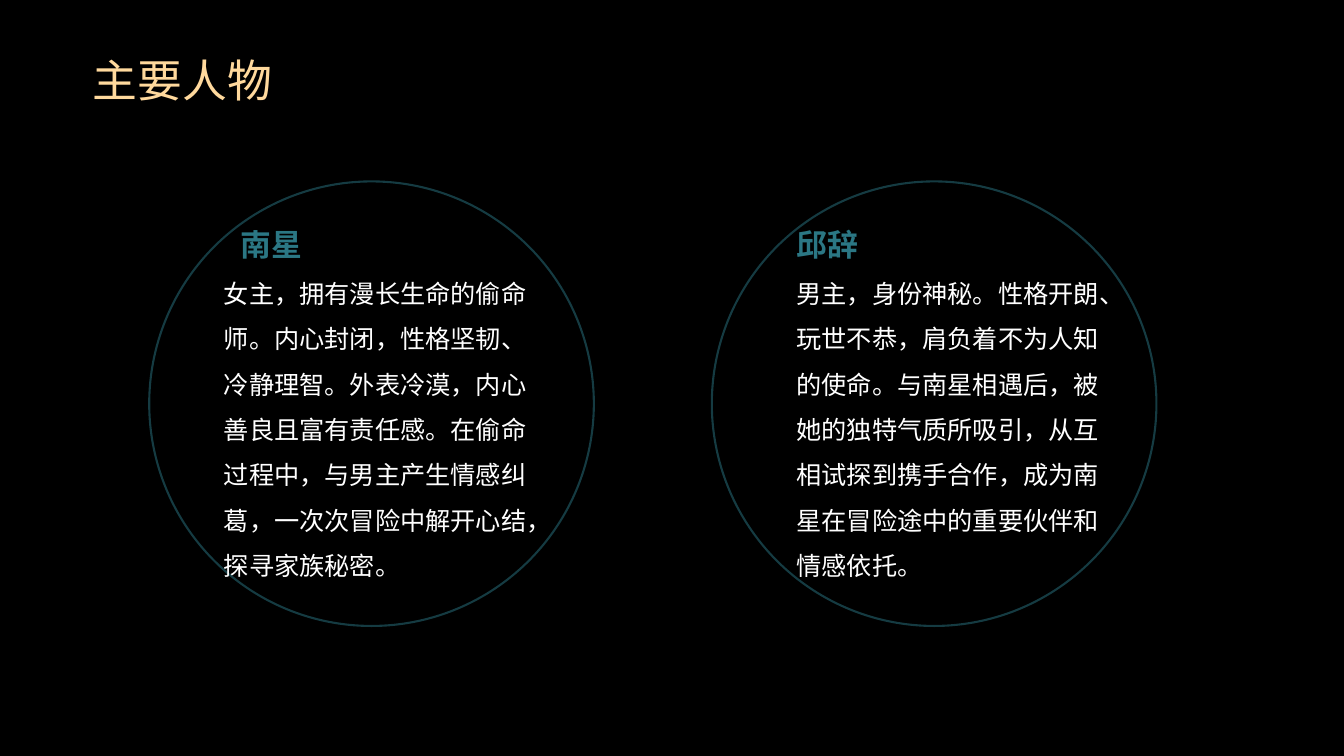
from pptx import Presentation, util as u
from pptx.dml.color import RGBColor
from pptx.enum import shapes, text
from pptx.oxml.ns import qn
from lxml import etree

FONT = "Noto Sans CJK SC"
GOLD, TEAL, WHITE, BLACK = "FFD99D", "2B7784", "FFFFFF", "000000"
W, H = 13.33, 7.5
TOP, MID, LOW = (text.MSO_ANCHOR.TOP, text.MSO_ANCHOR.MIDDLE,
                 text.MSO_ANCHOR.BOTTOM)
# Name, left of name and of story within the circle, story
CAST = [
    ("南星", 0.91, 0.74,
     "女主，拥有漫长生命的偷命师。内心封闭，性格坚韧、冷静理智。外表冷漠，"
     "内心善良且富有责任感。在偷命过程中，与男主产生情感纠葛，"
     "一次次冒险中解开心结，探寻家族秘密。"),
    ("邱辞", 0.84, 0.84,
     "男主，身份神秘。性格开朗、玩世不恭，肩负着不为人知的使命。"
     "与南星相遇后，被她的独特气质所吸引，从互相试探到携手合作，"
     "成为南星在冒险途中的重要伙伴和情感依托。"),
]


def paint(fill, tone):
    fill.solid()
    fill.fore_color.rgb = RGBColor.from_string(tone)


def write(slide, box, words, size, tone, anchor=TOP, bold=False, space=1.0):
    frame = slide.shapes.add_textbox(*map(u.Inches, box)).text_frame
    frame.word_wrap = True
    frame.vertical_anchor = anchor
    frame.margin_left = frame.margin_right = 0
    frame.margin_top = frame.margin_bottom = 0
    frame.text = words
    para = frame.paragraphs[0]
    para.line_spacing = space
    # Let closing punctuation hang past the right edge
    para._p.get_or_add_pPr().set("hangingPunct", "1")
    font = para.runs[0].font
    font.size, font.bold, font.name = u.Pt(size), bold, FONT
    paint(font.fill, tone)
    etree.SubElement(font._element, qn("a:ea")).set("typeface", FONT)


def ring(slide, box):
    oval = slide.shapes.add_shape(shapes.MSO_SHAPE.OVAL, *map(u.Inches, box))
    oval.shadow.inherit = False
    oval.fill.background()
    oval.line.width = u.Pt(1.5)
    paint(oval.line.fill, TEAL)
    # Half-transparent outline
    shade = oval.line._ln.find(".//" + qn("a:srgbClr"))
    etree.SubElement(shade, qn("a:alpha")).set("val", "50000")


def person(slide, box, name, head, body, story):
    x, y, wide, _ = box
    span = wide * 0.72
    ring(slide, box)
    write(slide, (x + body, y + 0.81, span, 1.73), story, 18, WHITE, space=1.5)
    write(slide, (x + head, y + 0.41, span, 0.4), name, 22, TEAL, LOW, True)


def main():
    deck = Presentation()
    deck.slide_width, deck.slide_height = u.Inches(W), u.Inches(H)
    slide = deck.slides.add_slide(deck.slide_layouts[6])
    paint(slide.background.fill, BLACK)

    # Title
    write(slide, (0.92, 0.32, 11.5, 0.94), "主要人物", 32, GOLD, MID)

    # One circle per character
    size, left, step = 4.41, 1.48, 5.58
    for i, role in enumerate(CAST):
        person(slide, (left + i * step, H * 0.24, size, size), *role)

    deck.save("out.pptx")


if __name__ == "__main__":
    main()
